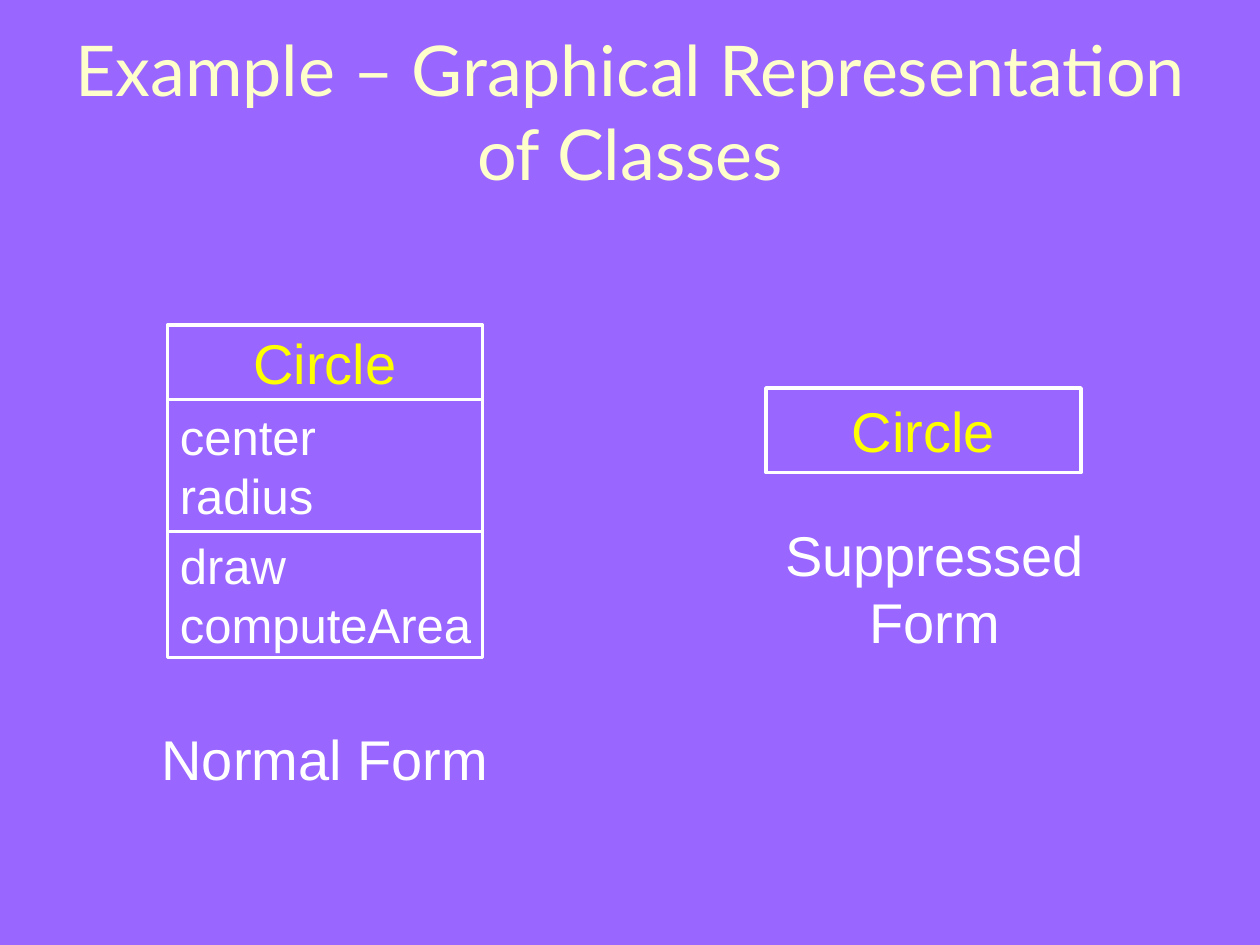
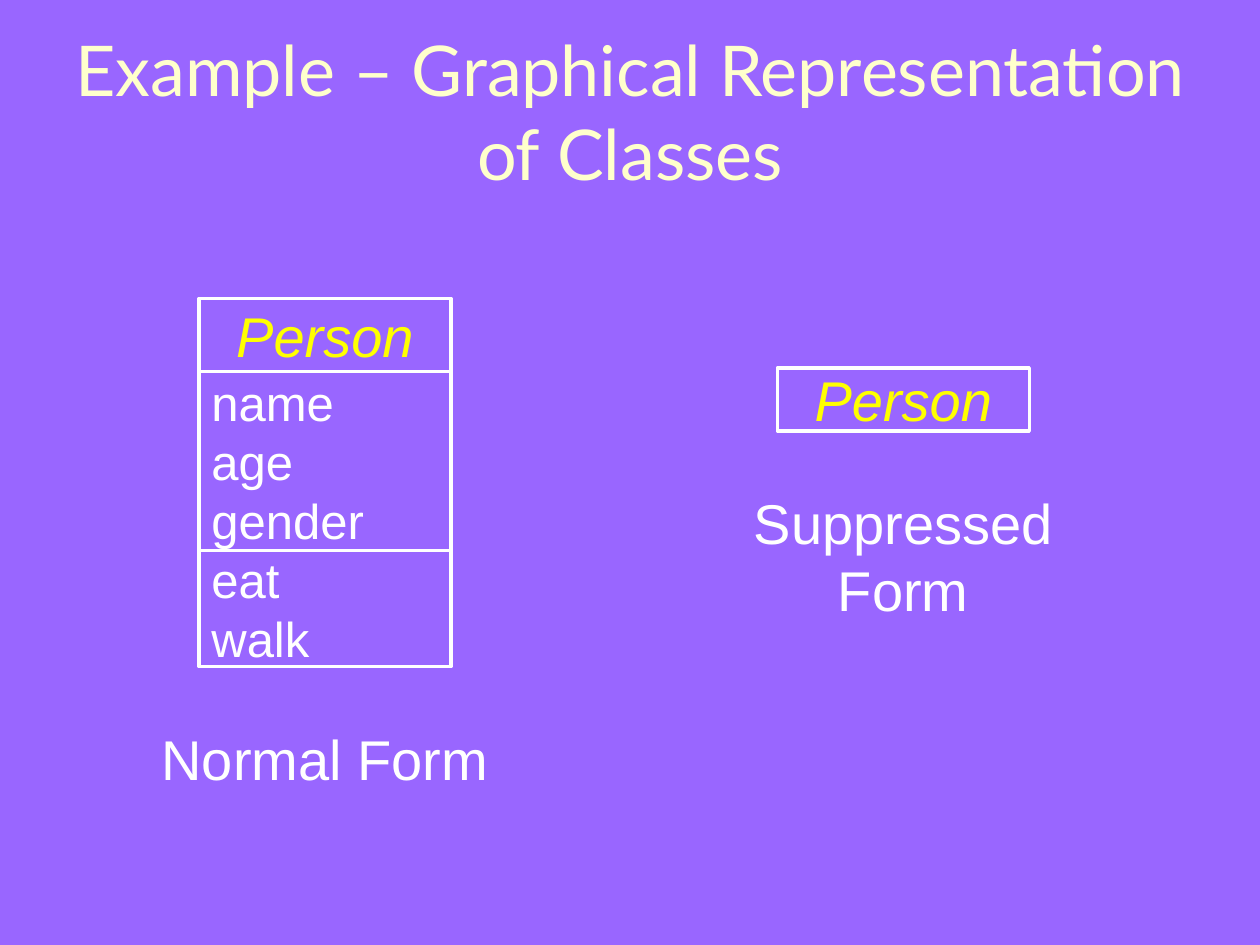
"""Build two slides that show UML classes in normal and suppressed form."""
from pptx import Presentation
from pptx.dml.color import RGBColor
from pptx.enum.shapes import MSO_SHAPE as Shape
from pptx.enum.text import MSO_ANCHOR as Anchor, MSO_AUTO_SIZE as AutoSize, PP_ALIGN as Align
from pptx.util import Inches, Pt

PURPLE = RGBColor(0x99, 0x66, 0xFF)
CREAM = RGBColor(0xFF, 0xFF, 0xCC)
YELLOW = RGBColor(0xFF, 0xFF, 0x00)
WHITE = RGBColor(0xFF, 0xFF, 0xFF)

TITLE = "Example – Graphical Representation of Classes"
TITLE_BOX = (0.33, 0.25, 9.34, 1.25)
NORMAL_CAPTION = ("Normal Form", (1.08, 5.7, 3, 0.64))
SUPPRESSED_CAPTION = "Suppressed Form"

CLASSES = [
    {
        "name": "Circle", "abstract": False, "width": 2.5,
        "normal_at": (1.33, 2.58), "name_height": 0.59,
        "members": [(["center", "radius"], 1.05), (["draw", "computeArea"], 1)],
        "suppressed_at": (6.08, 3.08), "suppressed_height": 0.67,
        "caption_at": (5.92, 4.08),
    },
    {
        "name": "Person", "abstract": True, "width": 2,
        "normal_at": (1.58, 2.37), "name_height": 0.58,
        "members": [(["name", "age", "gender"], 1.42), (["eat", "walk"], 0.92)],
        "suppressed_at": (6.17, 2.92), "suppressed_height": 0.5,
        "caption_at": (5.67, 3.83),
    },
]

TITLE_FONT = {"name": "Lato", "size": Pt(40)}
NAME_FONT = {"name": "Arial", "size": Pt(32)}
MEMBER_FONT = {"name": "Arial", "size": Pt(28)}


def write(shape, lines, font, color, align, **frame_format):
    """Fill a shape with one formatted paragraph per line."""
    frame = shape.text_frame
    for key, value in frame_format.items():
        setattr(frame, key, value)
    frame.text = "\n".join(lines)
    for paragraph in frame.paragraphs:
        paragraph.alignment = align
        for key, value in font.items():
            setattr(paragraph.runs[0].font, key, value)
        paragraph.runs[0].font.color.rgb = color


def add_compartment(slide, box, lines, font, color, align):
    """Add one outlined compartment of a class symbol."""
    shape = slide.shapes.add_shape(Shape.RECTANGLE, *map(Inches, box))
    shape.shadow.inherit = False
    shape.fill.background()
    shape.line.color.rgb = WHITE
    shape.line.width = Pt(2)
    write(shape, lines, font, color, align, word_wrap=False, vertical_anchor=Anchor.MIDDLE)


def add_caption(slide, text, box):
    """Add a centred caption below a class symbol."""
    shape = slide.shapes.add_textbox(*map(Inches, box))
    write(shape, [text], NAME_FONT, WHITE, Align.CENTER, word_wrap=True)


def add_title(slide):
    """Place and format the shared title."""
    title = slide.shapes.title
    title.left, title.top, title.width, title.height = map(Inches, TITLE_BOX)
    write(title, [TITLE], TITLE_FONT, CREAM, Align.CENTER, word_wrap=True,
          auto_size=AutoSize.NONE, vertical_anchor=Anchor.MIDDLE)


def add_class_slide(presentation, item):
    """Draw a class in both forms on a new slide."""
    slide = presentation.slides.add_slide(presentation.slide_layouts[5])
    add_title(slide)
    name_style = ([item["name"]], {**NAME_FONT, "italic": item["abstract"]}, YELLOW, Align.CENTER)
    left, top = item["normal_at"]
    width = item["width"]
    add_compartment(slide, (left, top, width, item["name_height"]), *name_style)
    top += item["name_height"]
    for members, height in item["members"]:
        add_compartment(slide, (left, top, width, height), members, MEMBER_FONT, WHITE, Align.LEFT)
        top += height
    add_caption(slide, *NORMAL_CAPTION)
    add_caption(slide, SUPPRESSED_CAPTION, (*item["caption_at"], 3, 1.17))
    add_compartment(slide, (*item["suppressed_at"], width, item["suppressed_height"]), *name_style)


def main():
    """Build and save the presentation."""
    presentation = Presentation()
    presentation.slide_width, presentation.slide_height = Inches(10), Inches(7.5)
    background = presentation.slide_master.background.fill
    background.solid()
    background.fore_color.rgb = PURPLE
    for item in CLASSES:
        add_class_slide(presentation, item)
    presentation.save("out.pptx")


if __name__ == "__main__":
    main()
